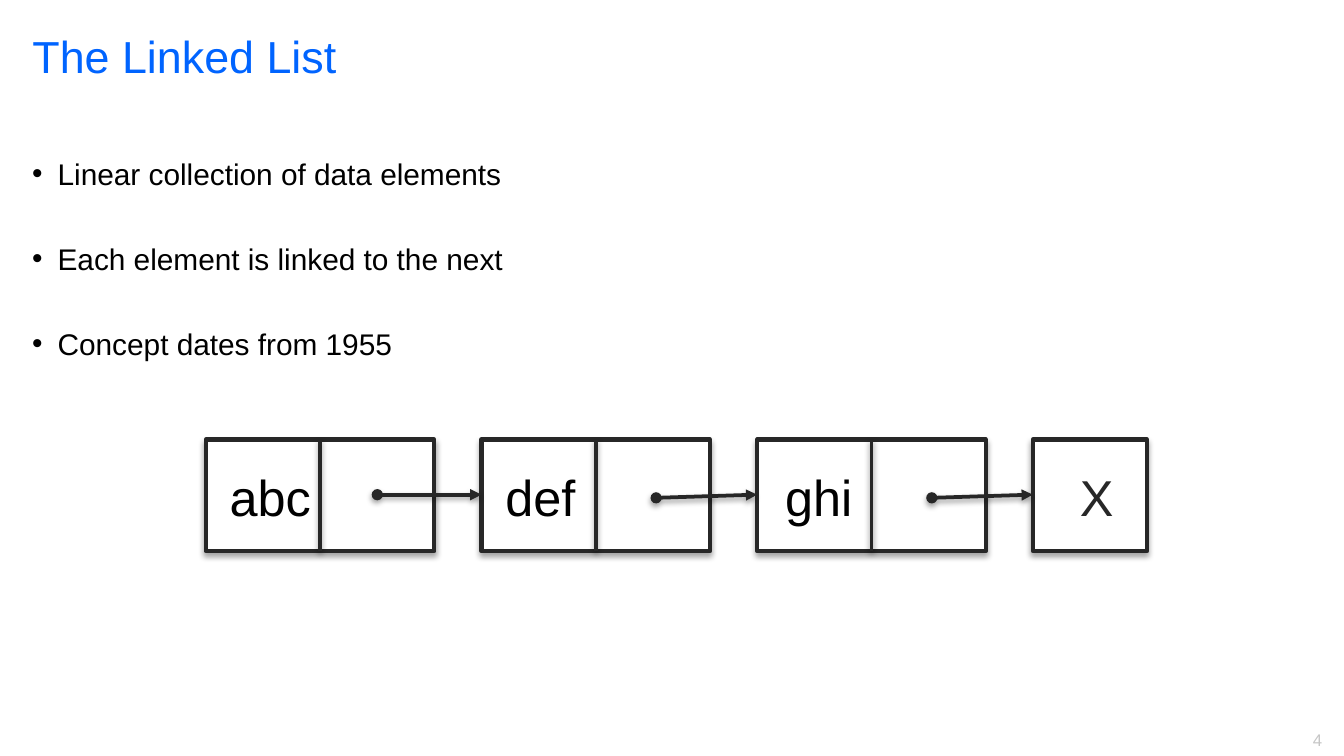
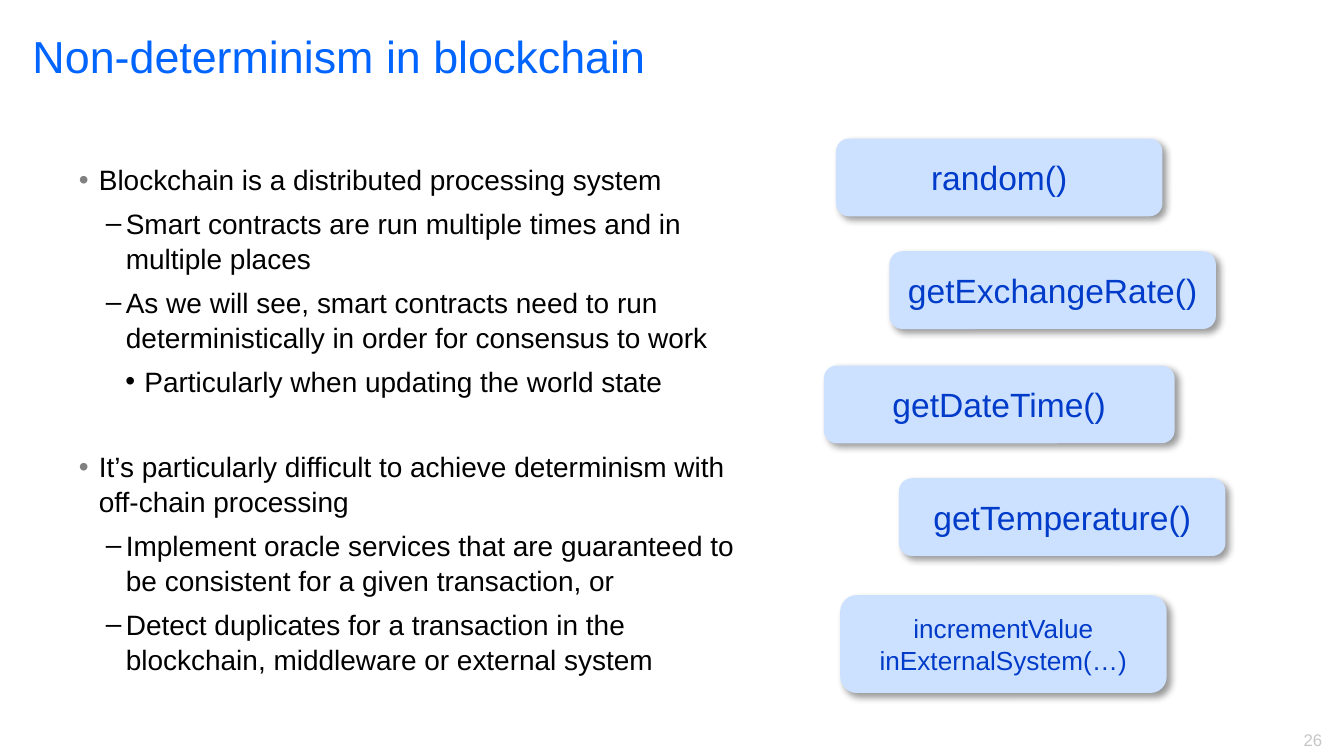
import pptx
import pptx.dml.color
import pptx.enum.shapes
import pptx.enum.text
import pptx.oxml
import pptx.oxml.ns
import pptx.util

Cm = pptx.util.Cm
Pt = pptx.util.Pt
RGB = pptx.dml.color.RGBColor
ALIGN = pptx.enum.text.PP_ALIGN
ANCHOR = pptx.enum.text.MSO_ANCHOR
SHAPE = pptx.enum.shapes.MSO_SHAPE

FONT = "Arial"
BLUE = RGB(0x00, 0x64, 0xFF)
NAVY = RGB(0x00, 0x3B, 0xC9)
PALE = RGB(0xCC, 0xE0, 0xFF)
INK = RGB(0x27, 0x27, 0x27)
BLACK = RGB(0x00, 0x00, 0x00)
WHITE = RGB(0xFF, 0xFF, 0xFF)
GREY = RGB(0x80, 0x80, 0x80)
PALE_GREY = RGB(0xC6, 0xC6, 0xC6)

# Shadows: opacity in percent, blur and distance in points, angle in degrees
BOX_SHADE = (35, 3.1, 1.8, 90)
LINE_SHADE = (38, 3.1, 1.6, 90)
CARD_SHADE = (40, 4, 3, 45)

# Linked list, in cm
LIST_X, LIST_Y, STEP = 3.89, 8.31, 5.21
NODE_W, NODE_H = 4.32, 2.11
WORD_Y, WORD_H = 8.69, 1.42

# Bullet levels: left margin and hang in cm, sign, sign colour
PLAIN = (0.48, 0.48, "•", None)
LEVELS = (
    (0.38, 0.38, "•", GREY),
    (0.89, 0.38, "–", None),
    (1.24, 0.36, "•", None),
)


def add_xml(parent, tag, **attrs):
    node = pptx.oxml.ns.qn("a:" + tag)
    child = parent.makeelement(node, {k: str(v) for k, v in attrs.items()})
    parent.append(child)
    return child


def add_shade(shape, alpha, blur, dist, angle):
    effects = add_xml(shape._element.spPr, "effectLst")
    shade = add_xml(effects, "outerShdw", blurRad=Pt(blur), dist=Pt(dist),
                    dir=angle * 60000, algn="tl", rotWithShape=0)
    color = add_xml(shade, "srgbClr", val=BLACK)
    add_xml(color, "alpha", val=alpha * 1000)


def add_run(para, text, size, color):
    run = para.add_run()
    run.text = text
    run.font.name = FONT
    run.font.size = Pt(size)
    run.font.color.rgb = color


def add_text(shapes, x, y, w, h, wrap=True):
    frame = shapes.add_textbox(Cm(x), Cm(y), Cm(w), Cm(h)).text_frame
    frame.word_wrap = wrap
    return frame


def add_word(shapes, text, x, w, color=BLACK):
    frame = add_text(shapes, x, WORD_Y, w, WORD_H, wrap=False)
    add_run(frame.paragraphs[0], text, 27, color)


def set_bullet(para, left, hang, sign, color):
    props = para._p.get_or_add_pPr()
    props.set("marL", str(Cm(left)))
    props.set("indent", str(-Cm(hang)))
    if color is not None:
        add_xml(add_xml(props, "buClr"), "srgbClr", val=color)
    add_xml(props, "buFont", typeface=FONT)
    add_xml(props, "buChar", char=sign)


def add_list(frame, items, size, spacing):
    """Fill the frame with (text, space before, bullet style) items."""
    for i, (text, gap, style) in enumerate(items):
        para = frame.add_paragraph() if i else frame.paragraphs[0]
        para.line_spacing = spacing
        para.space_before = Pt(gap)
        set_bullet(para, *style)
        add_run(para, text, size, BLACK)


def add_box(shapes, x, w):
    box = shapes.add_shape(SHAPE.RECTANGLE, Cm(x), Cm(LIST_Y), Cm(w), Cm(NODE_H))
    box.fill.solid()
    box.fill.fore_color.rgb = WHITE
    box.line.color.rgb = INK
    box.line.width = Pt(2.25)
    add_shade(box, *BOX_SHADE)


def add_line(shapes, x1, y1, x2, y2, arrow=False):
    line = shapes.add_connector(pptx.enum.shapes.MSO_CONNECTOR.STRAIGHT,
                                Cm(x1), Cm(y1), Cm(x2), Cm(y2))
    line.line.color.rgb = INK
    line.line.width = Pt(2)
    if arrow:
        ends = line.line._get_or_add_ln()
        add_xml(ends, "headEnd", type="oval")
        add_xml(ends, "tailEnd", type="triangle")
    add_shade(line, *LINE_SHADE)


def add_node(slide, x, text, inset, width):
    group = slide.shapes.add_group_shape().shapes
    add_box(group, x, NODE_W)
    mid = x + NODE_W / 2
    add_line(group, mid, LIST_Y, mid, LIST_Y + NODE_H)
    add_word(group, text, x + inset, width)


def add_card(slide, lines, x, y, w, h, size):
    card = slide.shapes.add_shape(SHAPE.ROUNDED_RECTANGLE, Cm(x), Cm(y), Cm(w), Cm(h))
    card.fill.solid()
    card.fill.fore_color.rgb = PALE
    card.line.fill.background()
    add_shade(card, *CARD_SHADE)
    frame = card.text_frame
    frame.word_wrap = False
    frame.vertical_anchor = ANCHOR.MIDDLE
    for i, text in enumerate(lines):
        para = frame.add_paragraph() if i else frame.paragraphs[0]
        para.alignment = ALIGN.CENTER
        add_run(para, text, size, NAVY)


def add_slide(deck, title, page):
    slide = deck.slides.add_slide(deck.slide_layouts[5])
    head = slide.shapes.title
    head.left, head.top, head.width, head.height = Cm(0.36), Cm(0.41), Cm(21.59), Cm(2.82)
    frame = head.text_frame
    frame.auto_size = pptx.enum.text.MSO_AUTO_SIZE.NONE
    frame.vertical_anchor = ANCHOR.TOP
    para = frame.paragraphs[0]
    para.alignment = ALIGN.LEFT
    para.space_before = Pt(2.5)
    add_run(para, title, 24, BLUE)

    foot = add_text(slide.shapes, 23.77, 13.67, 1.47, 0.64).paragraphs[0]
    foot.alignment = ALIGN.RIGHT
    add_run(foot, str(page), 9, PALE_GREY)
    return slide


def add_linked(deck):
    slide = add_slide(deck, "The Linked List", 4)
    frame = add_text(slide.shapes, 0.36, 2.82, 10.54, 5.16)
    add_list(frame, (
        ("Linear collection of data elements", 2, PLAIN),
        ("Each element is linked to the next", 26.3, PLAIN),
        ("Concept dates from 1955", 26.3, PLAIN),
    ), 16, 1.0)

    # Word, its inset and width, and how far the arrow's dot is shifted
    nodes = (("abc", 0.2, 2.06, 0), ("def", 0.2, 1.9, 0.06), ("ghi", 0.28, 1.8, 0.06))
    for i, (text, inset, width, _) in enumerate(nodes):
        add_node(slide, LIST_X + i * STEP, text, inset, width)
    last = LIST_X + len(nodes) * STEP
    add_box(slide.shapes, last, NODE_W / 2)
    mid = 9.35
    for i, (*_, shift) in enumerate(nodes):
        x = LIST_X + i * STEP
        add_line(slide.shapes, x + NODE_W * 0.75 + shift, mid + shift,
                 x + STEP, mid, arrow=True)
    add_word(slide.shapes, "X", last + 0.64, 1.14, INK)


def add_chain(deck):
    slide = add_slide(deck, "Non-determinism in blockchain", 26)
    top, sub, deep = LEVELS
    frame = add_text(slide.shapes, 1.24, 2.92, 12.98, 10.26)
    add_list(frame, (
        ("Blockchain is a distributed processing system", 0, top),
        ("Smart contracts are run multiple times and in multiple places", 4.5, sub),
        ("As we will see, smart contracts need to run deterministically "
         "in order for consensus to work", 4.5, sub),
        ("Particularly when updating the world state", 4.5, deep),
        ("It’s particularly difficult to achieve determinism with "
         "off-chain processing", 27, top),
        ("Implement oracle services that are guaranteed to be consistent "
         "for a given transaction, or", 4.5, sub),
        ("Detect duplicates for a transaction in the blockchain, "
         "middleware or external system", 4.5, sub),
    ), 15, 1.05)

    wide, high = 6.17, 1.47
    for lines, x, y, w, h, size in (
        (("random()",), 15.8, 2.62, wide, high, 18),
        (("getExchangeRate()",), 16.81, 4.75, wide, high, 18),
        (("getDateTime()",), 15.57, 6.91, 6.63, high, 18),
        (("getTemperature()",), 16.99, 9.04, wide, high, 18),
        (("incrementValue", "inExternalSystem(…)"), 15.88, 11.25, wide, 1.85, 14),
    ):
        add_card(slide, lines, x, y, w, h, size)


def main():
    deck = pptx.Presentation()
    deck.slide_width, deck.slide_height = Cm(25.4), Cm(14.29)
    add_linked(deck)
    add_chain(deck)
    deck.save("out.pptx")


if __name__ == "__main__":
    main()
